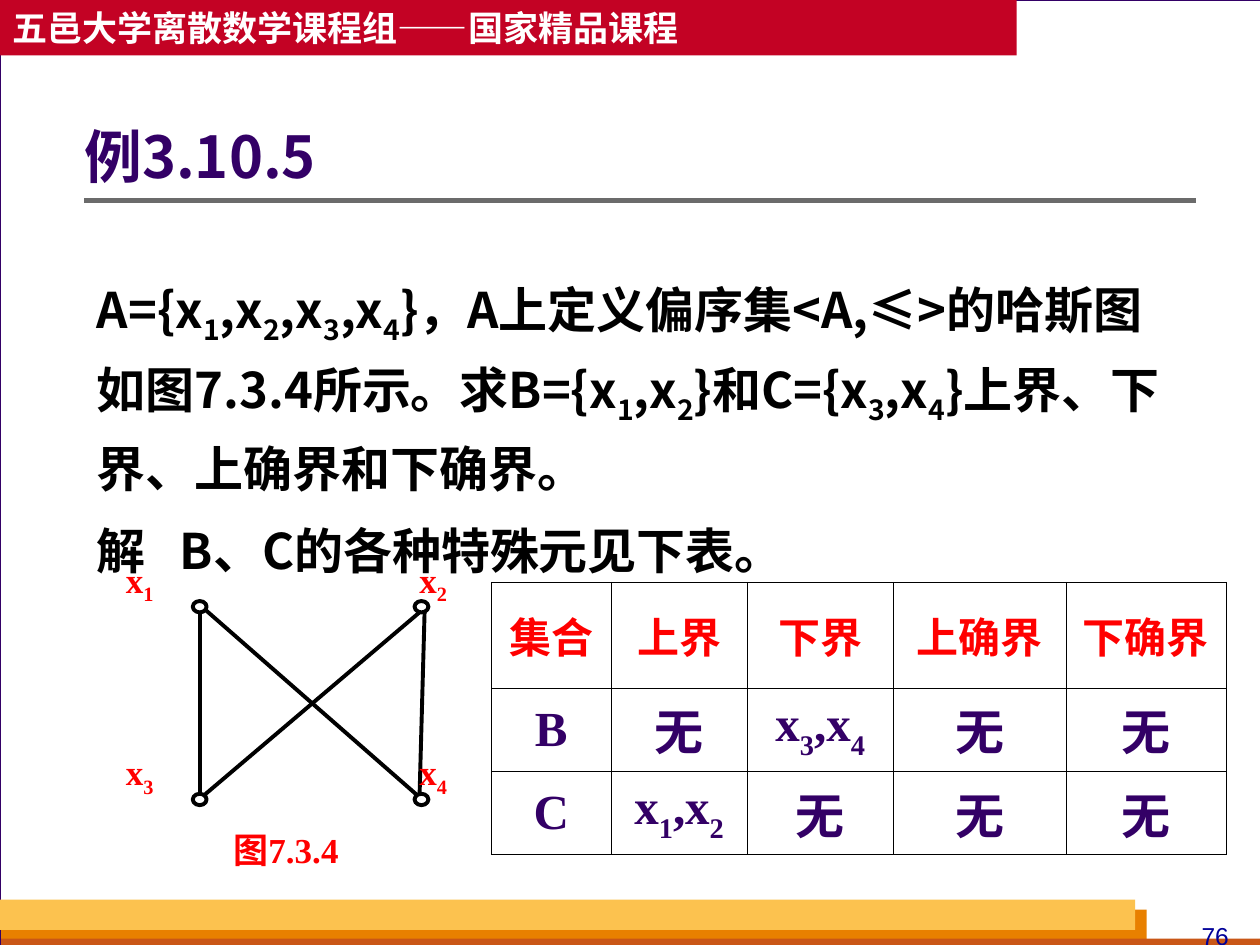
from itertools import product
from lxml.etree import SubElement
from pptx import Presentation
from pptx.dml.color import RGBColor
from pptx.enum.shapes import MSO_CONNECTOR, MSO_SHAPE
from pptx.enum.text import MSO_ANCHOR, PP_ALIGN
from pptx.oxml.ns import qn
from pptx.util import Inches, Pt

HUES = {
    "back": "D8DADA", "white": "FFFFFF", "navy": "330066", "crimson": "C30224",
    "orange": "E88000", "rust": "C95616", "gold": "FCC24F", "blue": "000099",
    "gray": "6B6B6B", "black": "000000", "red": "FF0000",
}
SANS, SERIF, ARIAL = "Noto Sans CJK SC", "Times New Roman", "Arial"
COLS, ROWS = 100, 75
UNIT = Inches(10) / COLS

HEAD = "五邑大学离散数学课程组——国家精品课程"
TITLE = "例3.10.5"
BODY = [
    "A={x_1,x_2,x_3,x_4}，A上定义偏序集<A,≤>的哈斯图如图7.3.4所示。"
    "求B={x_1,x_2}和C={x_3,x_4}上界、下界、上确界和下确界。",
    "解\tB、C的各种特殊元见下表。",
]
TABLE = [
    ["集合", "上界", "下界", "上确界", "下确界"],
    ["B", "无", "x_3,x_4", "无", "无"],
    ["C", "x_1,x_2", "无", "无", "无"],
]
WIDE, TALL = [9.5, 10.8, 11.6, 13.7, 12.7], [8.4, 6.6, 6.6]
BARS = [
    ((0, 0, 100.1, 75), "white", "navy"),
    ((0, 0, 80.7, 4.4), "crimson", None),
    ((0.1, 72.2, 90.9, 2.8), "orange", None),
    ((0.1, 74.5, 100, 0.8), "rust", None),
    ((0, 71.4, 90.1, 2.4), "gold", None),
]
NAMES = ["x_1", "x_2", "x_3", "x_4"]
DOTS = list(product((47.7, 63), (15.3, 32.9)))
TAGS = list(product((43.8, 59.1), (9, 32.3)))
EDGES = [
    (15.9, 48.7, 15.9, 62.9), (33.7, 48.6, 33.3, 63.1),
    (16.3, 48.4, 33.1, 63.1), (33.3, 48.6, 16.1, 63.2),
]


def hue(key):
    return RGBColor.from_string(HUES[key])


def grid(*cells):
    return [round(n * UNIT) for n in cells]


def put(par, text, size, font, color, bold=True, drop=-25):
    def add(part, base=0):
        if not part:
            return
        run = par.add_run()
        run.text = part
        run.font.size, run.font.bold, run.font.name = Pt(size), bold, font
        run.font.color.rgb = hue(color)
        props = run.font._element
        SubElement(props, qn("a:ea")).set("typeface", SANS)
        if base:
            props.set("baseline", str(base * 1000))

    first, *rest = text.split("_")
    add(first)
    for part in rest:
        add(part[0], drop)
        add(part[1:])


def label(box, text, size, font, color, bold=True, align=PP_ALIGN.LEFT):
    frame = slide.shapes.add_textbox(*grid(*box)).text_frame
    frame.word_wrap = True
    frame.paragraphs[0].alignment = align
    put(frame.paragraphs[0], text, size, font, color, bold)
    return frame


def shape(kind, box, fill=None, line=None, width=0.75):
    item = slide.shapes.add_shape(kind, *grid(*box))
    item.shadow.inherit = False
    if fill:
        item.fill.solid()
        item.fill.fore_color.rgb = hue(fill)
    else:
        item.fill.background()
    if line:
        item.line.color.rgb, item.line.width = hue(line), Pt(width)
    else:
        item.line.fill.background()
    return item


def link(ends, color, width):
    item = slide.shapes.add_connector(MSO_CONNECTOR.STRAIGHT, *grid(*ends))
    item.line.color.rgb, item.line.width = hue(color), Pt(width)
    SubElement(item._element.spPr, qn("a:effectLst"))


def border(cell):
    props = cell._tc.get_or_add_tcPr()
    for side in ("lnL", "lnR", "lnT", "lnB"):
        edge = SubElement(props, qn("a:" + side), w=str(Pt(0.45)))
        fill = SubElement(edge, qn("a:solidFill"))
        SubElement(fill, qn("a:srgbClr"), val=HUES["black"])
    cell.fill.background()


deck = Presentation()
deck.slide_width, deck.slide_height = grid(COLS, ROWS)
slide = deck.slides.add_slide(deck.slide_layouts[6])
slide.background.fill.solid()
slide.background.fill.fore_color.rgb = hue("back")

bars = [shape(MSO_SHAPE.RECTANGLE, *bar) for bar in BARS]
head = bars[1].text_frame
head.word_wrap = False
head.vertical_anchor = MSO_ANCHOR.MIDDLE
head.paragraphs[0].alignment = PP_ALIGN.LEFT
put(head.paragraphs[0], HEAD, 20, SANS, "white")
label((93.3, 72.6, 6.3, 3.4), "76", 14, ARIAL, "blue", False, PP_ALIGN.CENTER)
link((6.7, 15.9, 94.9, 15.9), "gray", 3)

title = label((6.7, 7.6, 88.2, 10.1), TITLE, 33, SANS, "navy")
title.margin_left = 0
title.vertical_anchor = MSO_ANCHOR.MIDDLE
title.paragraphs[0].line_spacing = 0.9

body = label((6.7, 20.6, 88.2, 49.2), BODY[0], 28, SANS, "black")
last = body.add_paragraph()
last.space_before = Pt(7)
put(last, BODY[1], 28, SANS, "black")
for par in body.paragraphs:
    par.line_spacing = 1.2
tabs = SubElement(last._p.get_or_add_pPr(), qn("a:tabLst"))
SubElement(tabs, qn("a:tab"), pos=str(grid(6.6)[0]), algn="l")

for edge in EDGES:
    link(edge, "black", 2.25)
for name, (top, left), (high, near) in zip(NAMES, DOTS, TAGS):
    shape(MSO_SHAPE.OVAL, (left, top, 1.1, 0.9), None, "black", 2.25)
    label((near, high, 10.6, 7.6), name, 20, SERIF, "red")
label((11.6, 65.3, 22.2, 7.6), "图7.3.4", 20, SERIF, "red", align=PP_ALIGN.CENTER)

table = slide.shapes.add_table(
    len(TALL), len(WIDE), *grid(39, 46.2, sum(WIDE), sum(TALL))).table
for col, width in zip(table.columns, grid(*WIDE)):
    col.width = width
for row, height in zip(table.rows, grid(*TALL)):
    row.height = height
for r, c in product(range(len(TALL)), range(len(WIDE))):
    cell = table.cell(r, c)
    cell.vertical_anchor = MSO_ANCHOR.MIDDLE
    border(cell)
    par = cell.text_frame.paragraphs[0]
    par.alignment = PP_ALIGN.CENTER
    size, color = (28, "navy") if r else (24, "red")
    put(par, TABLE[r][c], size, SERIF, color, drop=-30)

deck.save("out.pptx")
